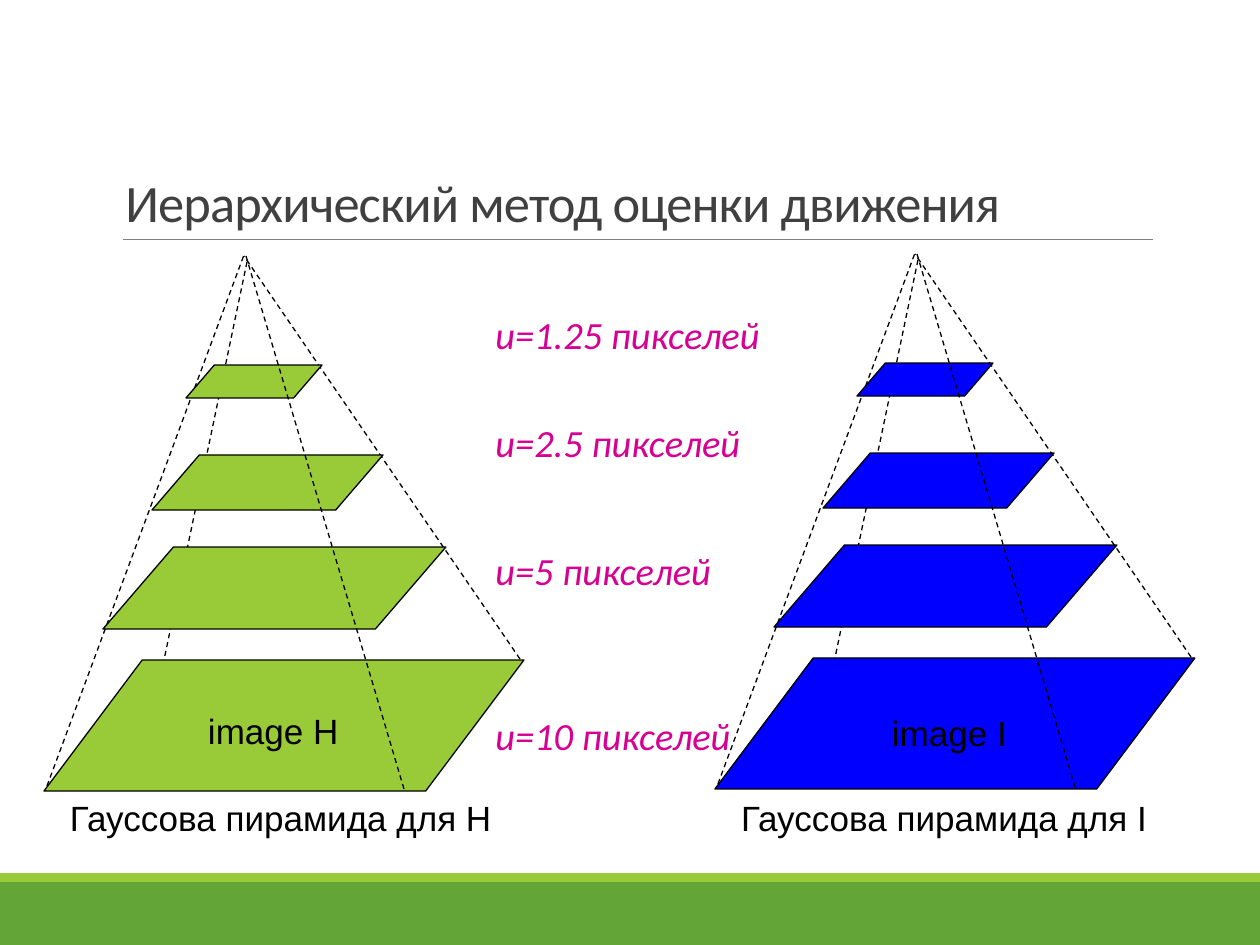
from lxml.etree import SubElement
from pptx import Presentation
from pptx.dml.color import RGBColor
from pptx.enum.dml import MSO_LINE
from pptx.enum.shapes import MSO_CONNECTOR, MSO_SHAPE
from pptx.enum.text import MSO_ANCHOR, MSO_AUTO_SIZE
from pptx.oxml.ns import qn
from pptx.util import Pt

SCALE = 914400 / 126
HUES = {"dark": "63A537", "lime": "99CB38", "blue": "0000FF", "ink": "000000",
        "gray": "808080", "title": "404040", "pink": "D60093"}


def px(n):
    return round(n * SCALE)


def hue(name):
    return RGBColor.from_string(HUES[name])


def write(frame, text, size=20, font="Arial", color="ink", italic=False,
          space=None, track=None):
    para = frame.paragraphs[0]
    para.line_spacing = space
    run = para.add_run()
    run.text = text
    run.font.size = Pt(size)
    run.font.name = font
    run.font.italic = italic
    run.font.color.rgb = hue(color)
    if track:
        run._r.get_or_add_rPr().set("spc", str(track))


class Deck:
    """Holds the style and the current slide."""

    def __init__(self):
        self.prs = Presentation()
        self.prs.slide_width, self.prs.slide_height = px(1260), px(945)
        self.slide = self.prs.slides.add_slide(self.prs.slide_layouts[6])
        self.shapes = self.slide.shapes

    def shape(self, kind, box, fill, edge=None, skew=None):
        item = self.shapes.add_shape(kind, *map(px, box))
        item.shadow.inherit = False
        item.fill.solid()
        item.fill.fore_color.rgb = hue(fill)
        if edge:
            item.line.color.rgb = hue(edge)
            item.line.width = Pt(0.75)
        else:
            item.line.fill.background()
        if skew:
            item.adjustments[0] = skew

    def line(self, ends, color="ink", width=0.75, dash=None):
        item = self.shapes.add_connector(MSO_CONNECTOR.STRAIGHT, *map(px, ends))
        item.line.color.rgb = hue(color)
        item.line.width = Pt(width)
        if dash:
            item.line.dash_style = dash
        SubElement(item._element.spPr, qn("a:effectLst"))

    def text(self, box, text, pad=True, wrap=False, anchor=MSO_ANCHOR.TOP, **style):
        frame = self.shapes.add_textbox(*map(px, box)).text_frame
        frame.word_wrap = wrap
        frame.vertical_anchor = anchor
        frame.auto_size = MSO_AUTO_SIZE.NONE if wrap else MSO_AUTO_SIZE.SHAPE_TO_FIT_TEXT
        if not pad:
            frame.margin_left = frame.margin_right = 0
            frame.margin_top = frame.margin_bottom = 0
        write(frame, text, **style)

    def tower(self, left, top, fill, name, width):
        def edge(x1, y1, x2, y2):
            self.line((left + x1, top + y1, left + x2, top + y2), dash=MSO_LINE.DASH)

        edge(3, 531, 200, 0)
        edge(476, 404, 200, 1)
        edge(203, 7, 120, 405)
        slabs = [(0, 405, 480, 131, 0.75), (108, 200, 231, 55, 0.86),
                 (59, 292, 343, 82, 0.86), (142, 110, 136, 33, 0.86)]
        for x, y, w, h, skew in slabs:
            self.shape(MSO_SHAPE.PARALLELOGRAM, (left + x, top + y, w, h),
                       fill, "ink", skew)
        edge(360, 534, 202, 1)
        self.text((left + 26, 796, width, 33), f"Гауссова пирамида для {name}", pad=False)


def main():
    deck = Deck()
    deck.shape(MSO_SHAPE.RECTANGLE, (0, 882, 1260, 63), "dark")
    deck.shape(MSO_SHAPE.RECTANGLE, (0, 873, 1260, 9), "lime")
    deck.line((123, 239, 1153, 239), "gray", 0.5)
    deck.tower(44, 255, "lime", "H", 436)
    deck.tower(715, 253, "blue", "I", 421)
    deck.text((892, 711, 116, 33), "image I", pad=False)
    deck.text((208, 709, 131, 33), "image H", pad=False)
    steps = [("10", 706, 271), ("5", 541, 252), ("2.5", 413, 281), ("1.25", 305, 300)]
    for step, top, width in steps:
        deck.text((483, top, width, 54), f"u={step} пикселей", size=22,
                  font="Calibri", color="pink", italic=True)
    deck.text((113, 39, 1040, 200), "Иерархический метод оценки движения",
              wrap=True, anchor=MSO_ANCHOR.BOTTOM, size=30, font="Calibri",
              color="title", space=0.85, track=-50)
    deck.prs.save("out.pptx")


if __name__ == "__main__":
    main()
